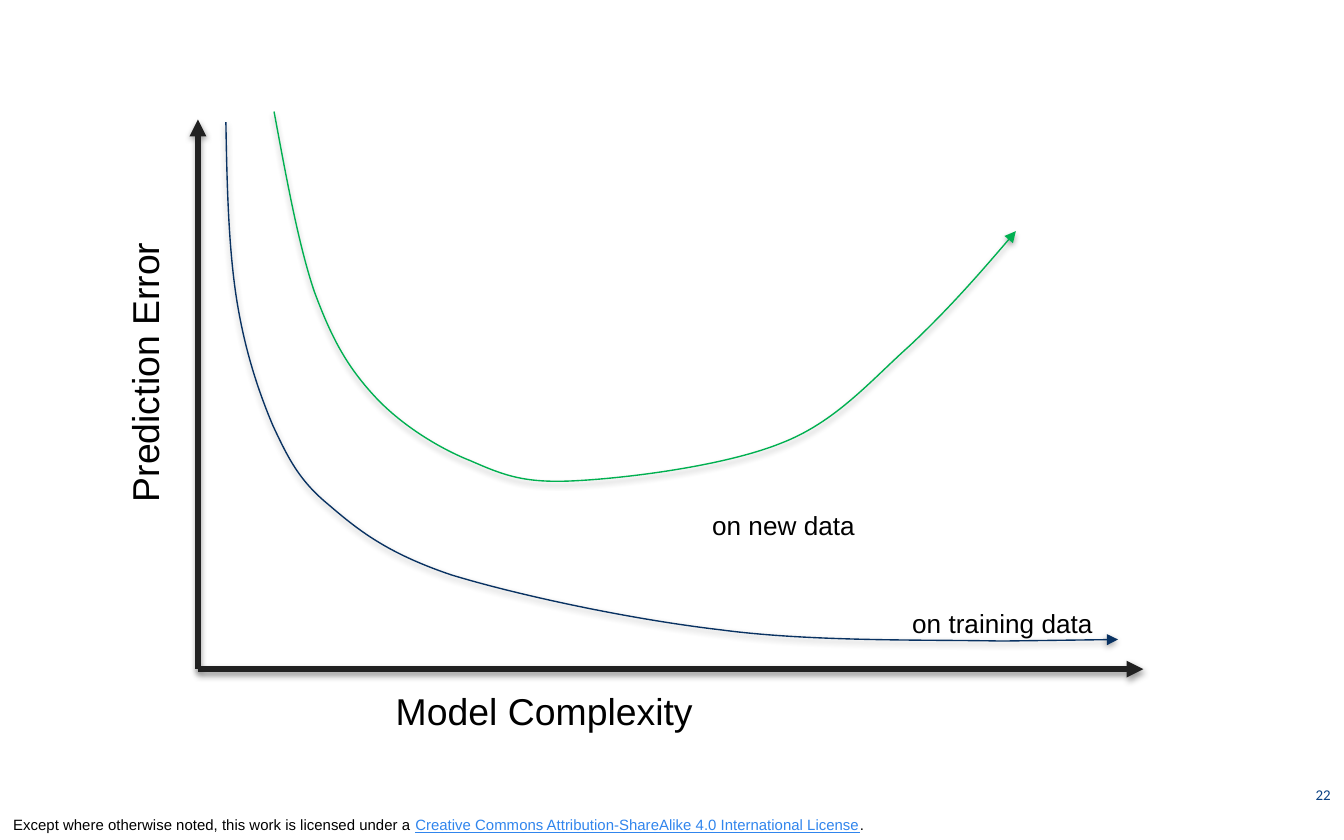
from dataclasses import dataclass

from lxml.etree import SubElement
from pptx import Presentation
from pptx.dml.color import RGBColor as RGB
from pptx.enum.shapes import MSO_CONNECTOR as CONN
from pptx.enum.text import MSO_ANCHOR as ANCHOR, MSO_AUTO_SIZE as FIT, PP_ALIGN as ALIGN
from pptx.oxml.ns import qn
from pptx.util import Cm, Pt


@dataclass(frozen=True)
class Theme:
    font: str = "Arial"
    number_font: str = "Calibri"
    text: str = "000000"
    link: str = "3085ED"
    number: str = "0B4183"
    axis: str = "212121"
    training: str = "093262"
    new: str = "00B050"
    axis_title: int = 20
    label: int = 14
    small: int = 8
    axis_width: float = 3
    curve_width: float = 0.75


THEME = Theme()

TRAINING_CURVE = [
    [(4.27, 2.31)],
    [(4.29, 3.51), (4.32, 4.67), (4.47, 5.64)],
    [(4.62, 6.6), (4.88, 7.39), (5.16, 8.05)],
    [(5.46, 8.69), (5.66, 9.09), (6.22, 9.55)],
    [(6.78, 10.03), (7.32, 10.46), (8.53, 10.87)],
    [(9.78, 11.25), (11.91, 11.71), (13.64, 11.91)],
    [(15.37, 12.14), (17.68, 12.09), (18.92, 12.12)],
    [(21.13, 12.09)],
]
NEW_DATA_CURVE = [
    [(5.18, 2.11)],
    [(5.41, 3.35), (5.64, 4.62), (5.94, 5.51)],
    [(6.27, 6.4), (6.55, 6.91), (7.06, 7.47)],
    [(7.54, 8), (8.26, 8.46), (8.89, 8.71)],
    [(9.53, 8.99), (9.91, 9.14), (10.87, 9.09)],
    [(11.86, 9.04), (13.69, 8.81), (14.76, 8.38)],
    [(15.8, 7.98), (16.46, 7.19), (17.2, 6.53)],
    [(17.93, 5.84), (18.57, 5.11), (19.2, 4.37)],
]


def apply(target, formats):
    for name, value in formats.items():
        setattr(target, name, value)


def add_text(s, box, runs, size, font=THEME.font, frame=None, align=ALIGN.LEFT, rotation=0):
    sp = s.shapes.add_textbox(*map(Cm, box))
    sp.rotation = rotation
    tf = sp.text_frame
    apply(tf, frame or {"word_wrap": False, "auto_size": FIT.SHAPE_TO_FIT_TEXT})
    p = tf.paragraphs[0]
    p.alignment = align
    for text, color, underline in runs:
        r = p.add_run()
        r.text = text
        apply(r.font, {"name": font, "size": Pt(size), "underline": underline})
        r.font.color.rgb = RGB.from_string(color)


def add_label(s, box, text, size, rotation=0):
    add_text(s, box, [(text, THEME.text, None)], size, rotation=rotation)


def style_arrow(sp, color, width):
    sp.line.color.rgb = RGB.from_string(color)
    sp.line.width = Pt(width)
    SubElement(sp.line._get_or_add_ln(), qn("a:tailEnd"), type="triangle")
    effects = SubElement(sp._element.spPr, qn("a:effectLst"))
    shadow = SubElement(effects, qn("a:outerShdw"), blurRad=str(Pt(3.1)), dist=str(Pt(1.6)),
                        dir="5400000", rotWithShape="0")
    tint = SubElement(shadow, qn("a:srgbClr"), val=THEME.text)
    SubElement(tint, qn("a:alpha"), val="38000")


def add_axis(s, start, end):
    sp = s.shapes.add_connector(CONN.STRAIGHT, *map(Cm, start + end))
    style_arrow(sp, THEME.axis, THEME.axis_width)


def bend_segments(sp, segments):
    for segment, line in zip(segments, list(sp._element.iter(qn("a:lnTo")))):
        if len(segment) == 1:
            continue
        line.tag = qn("a:cubicBezTo")
        for child in list(line):
            line.remove(child)
        for x, y in segment:
            SubElement(line, qn("a:pt"), x=str(Cm(x) - sp.left), y=str(Cm(y) - sp.top))


def add_curve(s, segments, color):
    start, *anchors = [tuple(map(Cm, segment[-1])) for segment in segments]
    builder = s.shapes.build_freeform(*start)
    builder.add_line_segments(anchors, close=False)
    sp = builder.convert_to_shape()
    bend_segments(sp, segments[1:])
    sp.fill.background()
    style_arrow(sp, color, THEME.curve_width)


def add_footer(s):
    license_runs = [
        ("Except where otherwise noted, this work is licensed under a ", THEME.text, None),
        ("Creative Commons Attribution-ShareAlike 4.0 International License", THEME.link, True),
        (".", THEME.text, None),
    ]
    add_text(s, (0, 15.3, 19.05, 0.58), license_runs, THEME.small,
             frame={"word_wrap": True, "vertical_anchor": ANCHOR.BOTTOM})
    add_text(s, (24.26, 14.61, 1.14, 0.84), [("22", THEME.number, None)], THEME.small,
             THEME.number_font, {"word_wrap": True, "vertical_anchor": ANCHOR.MIDDLE},
             ALIGN.RIGHT)


def main():
    prs = Presentation()
    apply(prs, {"slide_width": Cm(25.4), "slide_height": Cm(15.88)})
    s = prs.slides.add_slide(prs.slide_layouts[6])
    add_footer(s)
    origin = (3.74, 12.65)
    add_axis(s, origin, (3.74, 2.26))
    add_axis(s, origin, (21.61, 12.65))
    add_label(s, (0, 6.46, 5.46, 1.11), "Prediction Error", THEME.axis_title, 270)
    add_label(s, (7.23, 12.88, 6.17, 1.11), "Model Complexity", THEME.axis_title)
    add_curve(s, TRAINING_CURVE, THEME.training)
    add_label(s, (16.99, 11.35, 3.94, 0.86), "on training data", THEME.label)
    add_curve(s, NEW_DATA_CURVE, THEME.new)
    add_label(s, (13.21, 9.5, 3.23, 0.86), "on new data", THEME.label)
    prs.save("out.pptx")


if __name__ == "__main__":
    main()
